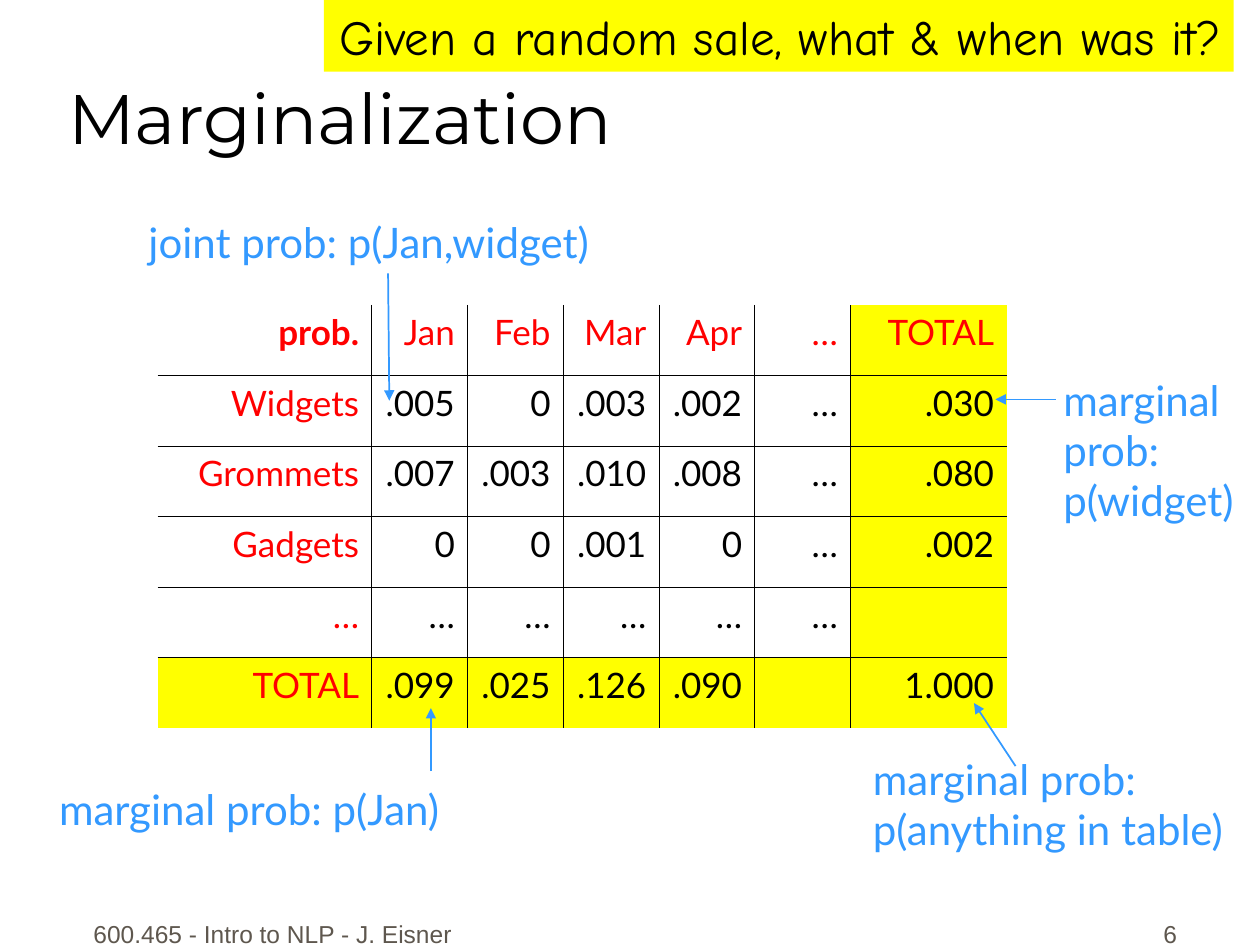
from lxml import etree
from pptx import Presentation
from pptx import util as u
from pptx.dml.color import RGBColor
from pptx.enum import shapes, text
from pptx.oxml.ns import qn

COLORS = {
    "ink": "000000",
    "header": "FF0000",
    "highlight": "FFFF00",
    "note": "3399FF",
    "footer": "5E574E",
}
LEFT, CENTER, RIGHT = text.PP_ALIGN.LEFT, text.PP_ALIGN.CENTER, text.PP_ALIGN.RIGHT
TITLE_ONLY = 5

PROBABILITIES = [
    ["prob.", "Jan", "Feb", "Mar", "Apr", "…", "TOTAL"],
    ["Widgets", ".005", "0", ".003", ".002", "…", ".030"],
    ["Grommets", ".007", ".003", ".010", ".008", "…", ".080"],
    ["Gadgets", "0", "0", ".001", "0", "…", ".002"],
    ["…", "…", "…", "…", "…", "…", ""],
    ["TOTAL", ".099", ".025", ".126", ".090", "", "1.000"],
]
COLUMN_WIDTHS = [1.7] + [0.76] * 5 + [1.24]

# Wording, box, arrow start, arrow end, wrap
ANNOTATIONS = [
    ("marginal prob: p(Jan)", (0.37, 6.17, 3.51, 0.5), (3.42, 6.12), (3.42, 5.62), False),
    ("marginal\nprob: \vp(widget)", (8.34, 2.92, 1.69, 1.3), (8.38, 3.17), (7.9, 3.17), False),
    ("joint prob: p(Jan,widget)", (1.08, 1.67, 4.33, 0.5), (3.08, 2.17), (3.09, 3.18), True),
    ("marginal prob:\np(anything in table)", (6.83, 5.93, 3.24, 0.9), (8.06, 6.08), (7.73, 5.58), False),
]


def inches(values):
    return [u.Inches(v) for v in values]


def rgb(color):
    return RGBColor.from_string(COLORS[color])


class Deck:
    """Holds the text styles and the current slide."""

    styles = {
        "title": {"name": "Montserrat", "size": u.Pt(40)},
        "banner": {"name": "Comic Neue", "size": u.Pt(28)},
        "note": {"name": "Lato", "size": u.Pt(24)},
        "cell": {"name": "Lato", "size": u.Pt(20), "bold": False},
        "corner": {"name": "Lato", "size": u.Pt(20), "bold": True},
        "footer": {"name": "Arial", "size": u.Pt(14)},
    }

    def __init__(self, prs):
        self.slide = prs.slides.add_slide(prs.slide_layouts[TITLE_ONLY])

    def set_text(self, tf, words, style, color="ink", align=LEFT, before=0):
        tf.text = words
        for p in tf.paragraphs:
            p.alignment, p.space_before = align, u.Pt(before)
            for r in p.runs:
                for key, value in self.styles[style].items():
                    setattr(r.font, key, value)
                r.font.color.rgb = rgb(color)

    def title(self, words, box):
        sp = self.slide.shapes.title
        sp.left, sp.top, sp.width, sp.height = inches(box)
        tf = sp.text_frame
        tf.auto_size = text.MSO_AUTO_SIZE.NONE
        tf.vertical_anchor = text.MSO_ANCHOR.BOTTOM
        self.set_text(tf, words, "title")

    def footer(self, words, box, align):
        tf = self.slide.shapes.add_textbox(*inches(box)).text_frame
        tf.word_wrap = True
        tf.vertical_anchor = text.MSO_ANCHOR.BOTTOM
        self.set_text(tf, words, "footer", "footer", align, 8.8)

    def banner(self, words, box):
        sp = self.slide.shapes.add_shape(shapes.MSO_SHAPE.RECTANGLE, *inches(box))
        sp.shadow.inherit = False
        sp.fill.solid()
        sp.fill.fore_color.rgb = rgb("highlight")
        sp.line.fill.background()
        tf = sp.text_frame
        tf.word_wrap = False
        tf.auto_size = text.MSO_AUTO_SIZE.SHAPE_TO_FIT_TEXT
        tf.vertical_anchor = text.MSO_ANCHOR.TOP
        self.set_text(tf, words, "banner", align=RIGHT)

    def annotation(self, words, box, start, end, wrap):
        """A note grouped with the arrow that points from it to a cell."""
        group = self.slide.shapes.add_group_shape()
        tf = group.shapes.add_textbox(*inches(box)).text_frame
        tf.word_wrap = wrap
        tf.auto_size = text.MSO_AUTO_SIZE.SHAPE_TO_FIT_TEXT
        self.set_text(tf, words, "note", "note")
        self.arrow(group, start, end)

    def arrow(self, group, start, end):
        line = group.shapes.add_connector(
            shapes.MSO_CONNECTOR.STRAIGHT, *inches(start + end))
        line.line.color.rgb = rgb("note")
        line.line.width = u.Pt(1)
        sp_pr = line._element.spPr
        etree.SubElement(sp_pr.find(qn("a:ln")), qn("a:tailEnd"),
                         type="triangle", w="med", len="med")
        etree.SubElement(sp_pr, qn("a:effectLst"))

    def table(self, rows, widths, left, top, row_height):
        frame = self.slide.shapes.add_table(
            len(rows), len(widths),
            *inches((left, top, sum(widths), row_height * len(rows))))
        table = frame.table
        table.first_row = table.horz_banding = False
        for column, width in zip(table.columns, widths):
            column.width = u.Inches(width)
        last_row, last_col = len(rows) - 1, len(widths) - 1
        for i, row in enumerate(rows):
            for j, words in enumerate(row):
                cell = table.cell(i, j)
                self.borders(cell, {"a:lnL": j > 0, "a:lnR": j < last_col,
                                    "a:lnT": i > 0, "a:lnB": i < last_row})
                if i == last_row or j == last_col:
                    cell.fill.solid()
                    cell.fill.fore_color.rgb = rgb("highlight")
                else:
                    cell.fill.background()
                self.set_text(cell.text_frame, words,
                              "corner" if i == j == 0 else "cell",
                              "header" if i == 0 or j == 0 else "ink", RIGHT, 5)

    def borders(self, cell, visible):
        """Rule the inner edges of the grid and clear the outer ones."""
        tc_pr = cell._tc.get_or_add_tcPr()
        for tag, shown in visible.items():
            ln = etree.SubElement(tc_pr, qn(tag), w=str(int(u.Pt(0.45))))
            if shown:
                fill = etree.SubElement(ln, qn("a:solidFill"))
                etree.SubElement(fill, qn("a:srgbClr"), val=COLORS["ink"])
            else:
                etree.SubElement(ln, qn("a:noFill"))


def main():
    prs = Presentation()
    prs.slide_width, prs.slide_height = inches((10, 7.5))
    deck = Deck(prs)
    deck.footer("600.465 - Intro to NLP - J. Eisner", (0.58, 7.08, 3.17, 0.5), CENTER)
    deck.footer("6", (7.36, 7.08, 2.08, 0.5), RIGHT)
    deck.title("Marginalization", (0.44, 0.06, 8.5, 1.25))
    deck.table(PROBABILITIES, COLUMN_WIDTHS, 1.25, 2.42, 0.56)
    deck.banner("Given a random sale, what & when was it?", (2.57, 0, 7.22, 0.57))
    for annotation in ANNOTATIONS:
        deck.annotation(*annotation)
    prs.save("out.pptx")


if __name__ == "__main__":
    main()
